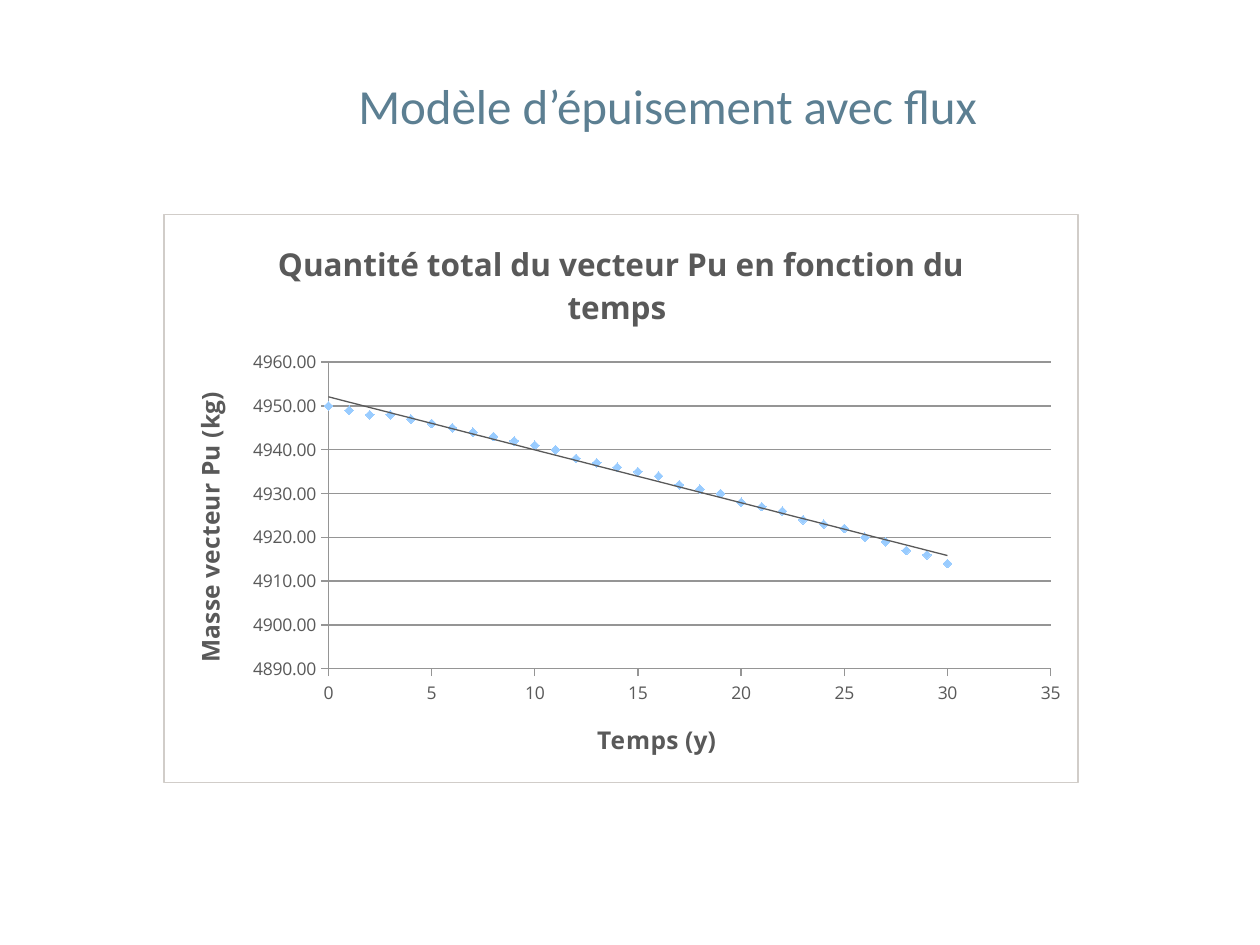
from lxml import etree
from pptx import Presentation
from pptx.chart.data import XyChartData
from pptx.dml.color import RGBColor
from pptx.enum.chart import XL_CHART_TYPE, XL_MARKER_STYLE as MARKER, XL_TICK_MARK as TICK
from pptx.enum.text import MSO_ANCHOR, PP_ALIGN
from pptx.util import Pt

# Content
TITLE = "Modèle d’épuisement avec flux"
CHART_TITLE = "Quantité total du vecteur Pu en fonction du temps "
X_TITLE = "Temps (y)"
Y_TITLE = "Masse vecteur Pu (kg)"
# Plutonium mass in kg, one value per year from year 0
MASSES = [
    4950, 4949, 4948, 4948, 4947, 4946, 4945, 4944,
    4943, 4942, 4941, 4940, 4938, 4937, 4936, 4935,
    4934, 4932, 4931, 4930, 4928, 4927, 4926, 4924,
    4923, 4922, 4920, 4919, 4917, 4916, 4914,
]
PLOT_AREA = {"x": 0.18, "y": 0.26, "w": 0.79, "h": 0.54}  # shares of the chart

SLATE = RGBColor(0x5C, 0x7F, 0x92)
GREY = RGBColor(0x59, 0x59, 0x59)
AXIS_GREY = RGBColor(0x95, 0x95, 0x95)
SKY = RGBColor(0x99, 0xCC, 0xFF)
TREND = RGBColor(0x59, 0x59, 0x59)
BORDER = RGBColor(0xD1, 0xCD, 0xC9)
NS = ('xmlns:c="http://schemas.openxmlformats.org/drawingml/2006/chart" '
      'xmlns:a="http://schemas.openxmlformats.org/drawingml/2006/main"')


def write(tf, text, size, color=GREY, font="Open Sans", bold=False):
    p = tf.paragraphs[0]
    p.alignment = PP_ALIGN.CENTER
    r = p.add_run()
    r.text = text
    r.font.size, r.font.name, r.font.bold = Pt(size), font, bold
    r.font.color.rgb = color


def chart_xml(tag, body):
    return etree.fromstring(f"<c:{tag} {NS}>{body}</c:{tag}>")


def line_xml(color):
    return (f'<a:ln w="{Pt(0.75)}"><a:solidFill><a:srgbClr val="{color}"/>'
            "</a:solidFill></a:ln>")


def style_axis(axis, title, low, high, step, number_format):
    axis.minimum_scale, axis.maximum_scale, axis.major_unit = low, high, step
    axis.major_tick_mark, axis.minor_tick_mark = TICK.OUTSIDE, TICK.NONE
    axis.tick_labels.number_format = number_format
    axis.tick_labels.number_format_is_linked = False
    axis.format.line.color.rgb = AXIS_GREY
    axis.format.line.width = Pt(0.75)
    write(axis.axis_title.text_frame, title, 14, bold=True)


prs = Presentation()
prs.slide_width, prs.slide_height = Pt(720), Pt(540)
slide = prs.slides.add_slide(prs.slide_layouts[6])

# Slide title
tf = slide.shapes.add_textbox(Pt(79), Pt(15), Pt(605), Pt(90)).text_frame
tf.margin_left = tf.margin_right = tf.margin_top = tf.margin_bottom = 0
tf.word_wrap = True
tf.vertical_anchor = MSO_ANCHOR.MIDDLE
write(tf, TITLE, 28, SLATE, "Calibri")

# Scatter chart
data = XyChartData()
points = data.add_series("Series 1")
for year, mass in enumerate(MASSES):
    points.add_data_point(year, mass)
chart = slide.shapes.add_chart(XL_CHART_TYPE.XY_SCATTER, Pt(93.3), Pt(122.2),
                               Pt(523.2), Pt(325.3), data).chart
chart.has_legend = False
chart.font.size, chart.font.name = Pt(10), "Open Sans"
chart.font.color.rgb = GREY
write(chart.chart_title.text_frame, CHART_TITLE, 18, bold=True)
chart.chart_title.include_in_layout = False

# Axes and gridlines
style_axis(chart.category_axis, X_TITLE, 0, 35, 5, "General")
style_axis(chart.value_axis, Y_TITLE, 4890, 4960, 10, "0.00")
chart.category_axis.has_major_gridlines = False
chart.value_axis.has_major_gridlines = True
grid = chart.value_axis.major_gridlines.format.line
grid.color.rgb, grid.width = AXIS_GREY, Pt(0.75)

# Diamond markers without a joining line
chart.plots[0].vary_by_categories = False
s = chart.plots[0].series[0]
s.smooth = False
s.format.line.fill.background()
s.marker.style, s.marker.size = MARKER.DIAMOND, 5
s.marker.format.fill.solid()
s.marker.format.fill.fore_color.rgb = SKY
s.marker.format.line.fill.background()

# Exponential trend line
s._element.find("{*}xVal").addprevious(chart_xml(
    "trendline", f"<c:spPr>{line_xml(TREND)}</c:spPr>"
    '<c:trendlineType val="exp"/><c:dispRSqr val="0"/><c:dispEq val="0"/>'))

# Plot area position and chart border
plot_area = chart._chartSpace.find(".//{*}plotArea")
for layout in plot_area.findall("{*}layout"):
    plot_area.remove(layout)
modes = '<c:xMode val="edge"/><c:yMode val="edge"/>'
sizes = "".join(f'<c:{key} val="{value}"/>' for key, value in PLOT_AREA.items())
plot_area.insert(0, chart_xml(
    "layout", f'<c:manualLayout><c:layoutTarget val="inner"/>{modes}{sizes}</c:manualLayout>'))
chart._chartSpace.find("{*}chart").addnext(
    chart_xml("spPr", f"<a:noFill/>{line_xml(BORDER)}"))

prs.save("out.pptx")
